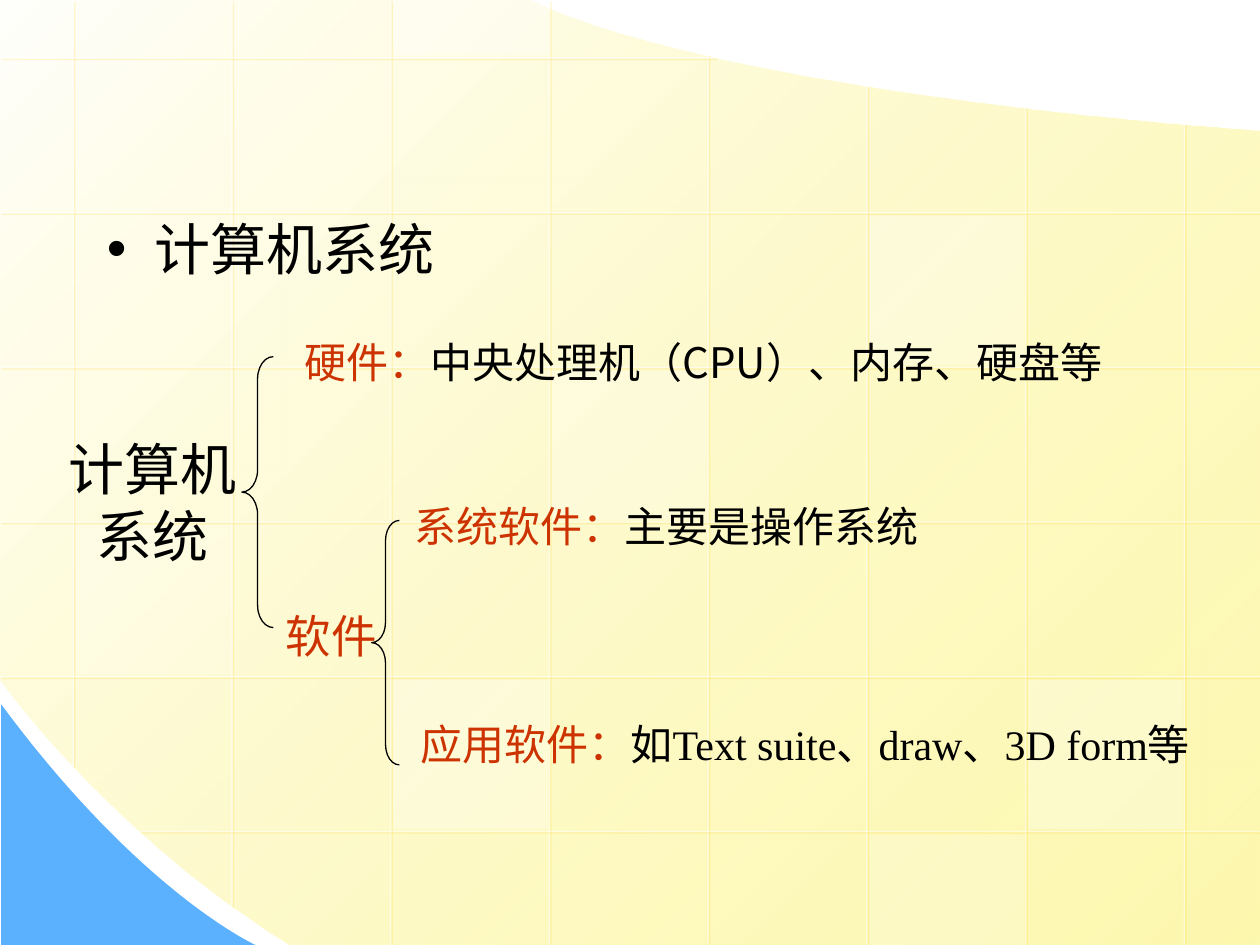
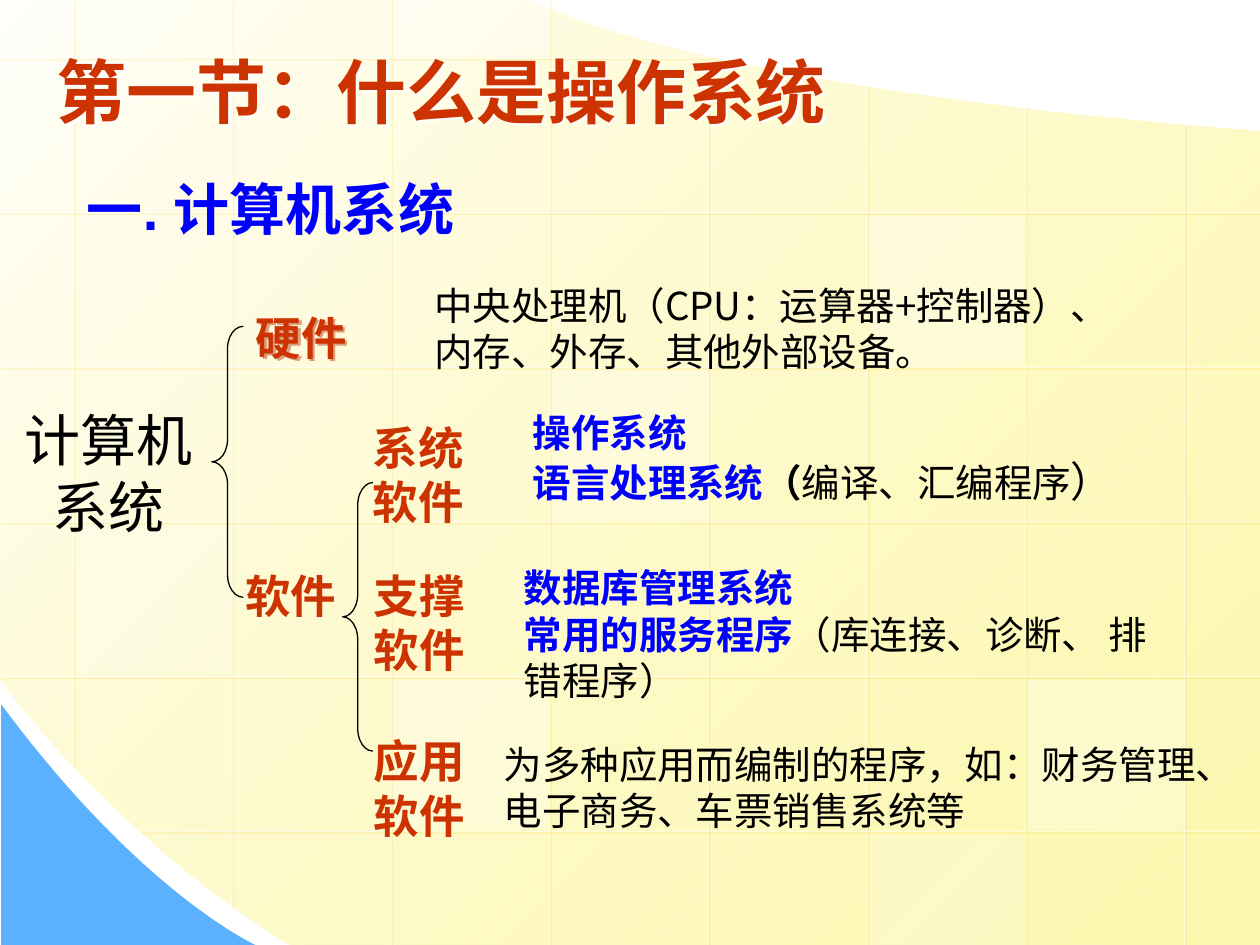
from dataclasses import dataclass
from typing import NamedTuple

from lxml import etree
from pptx import Presentation
from pptx.dml.color import RGBColor
from pptx.enum.shapes import MSO_CONNECTOR, MSO_SHAPE
from pptx.enum.text import MSO_ANCHOR, MSO_AUTO_SIZE, PP_ALIGN
from pptx.oxml.ns import qn
from pptx.util import Pt

STRAIGHT = MSO_CONNECTOR.STRAIGHT
RECTANGLE, LEFT_BRACE = MSO_SHAPE.RECTANGLE, MSO_SHAPE.LEFT_BRACE
TOP, MIDDLE = MSO_ANCHOR.TOP, MSO_ANCHOR.MIDDLE
LEFT, CENTER = PP_ALIGN.LEFT, PP_ALIGN.CENTER
NO_AUTOFIT = MSO_AUTO_SIZE.NONE

WIDTH, HEIGHT = 720, 540
TITLE_ONLY, BLANK = 5, 6
WHITE, BLACK, RED, BLUE = "FFFFFF", "000000", "CC3300", "0000FF"
SKY, CREAM, YELLOW, GOLD = "5CB1FE", "FFFFFB", "FDF58D", "FFCC00"
TAN = "D9A080"
SANS, SERIF, CJK = "Arial", "Times New Roman", "Noto Sans CJK SC"

GRID_LEFT, GRID_TOP, COLUMN_STEP, ROW_STEP = 41.8, 33.1, 90.7, 88.4
TILE_WIDTH, TILE_HEIGHT = 88.5, 85
COLUMN_SPANS = [(0, 438), (0, 518), (0, HEIGHT), (0, HEIGHT),
                (31, HEIGHT), (49, HEIGHT), (61, HEIGHT), (70.6, HEIGHT)]
ROW_SPANS = [(0, 409)] + [(0, WIDTH)] * 4 + [(80, WIDTH)]


class Box(NamedTuple):
    left: float
    top: float
    width: float
    height: float

    def lengths(self) -> list:
        return [Pt(value) for value in self]


class Run(NamedTuple):
    text: str
    size: float
    color: str = BLACK
    bold: bool = False
    latin: str = SANS


class Tile(NamedTuple):
    column: int
    row: int
    opacity: int


class Brace(NamedTuple):
    box: Box
    curl: float


@dataclass
class Label:
    box: Box
    lines: list
    anchor: MSO_ANCHOR = TOP
    wrap: bool = True
    align: PP_ALIGN = LEFT
    spacing: float = 1.0
    bullet: str = ""
    shadow: str = ""


TILES = [Tile(3, 2, 25), Tile(6, 4, 30), Tile(0, 3, 20), Tile(5, 5, 20),
         Tile(2, -1, 40), Tile(2, 4, 30), Tile(5, 1, 30)]


def rgb(color: str) -> RGBColor:
    return RGBColor.from_string(color)


def set_opacity(parent, percent: int) -> None:
    """Make the last plain colour under an XML element partly transparent."""
    color = list(parent.iter(qn("a:srgbClr")))[-1]
    etree.SubElement(color, qn("a:alpha")).set("val", str(percent * 1000))


def add_shadow(shape, color: str, distance: float, opacity: int) -> None:
    effects = etree.SubElement(shape.element.spPr, qn("a:effectLst"))
    shadow = etree.SubElement(effects, qn("a:outerShdw"), dist=str(Pt(distance)),
                              dir="2700000", algn="ctr", rotWithShape="0")
    etree.SubElement(shadow, qn("a:srgbClr"), val=color)
    set_opacity(shadow, opacity)


def curve(start: tuple, pull1: tuple, pull2: tuple, end: tuple, steps: int = 40) -> list:
    """Points along a cubic Bezier curve, without its start."""
    points = []
    for step in range(1, steps + 1):
        t = step / steps
        weights = ((1 - t) ** 3, 3 * t * (1 - t) ** 2, 3 * t * t * (1 - t), t ** 3)
        controls = (start, pull1, pull2, end)
        points.append(tuple(sum(w * c[axis] for w, c in zip(weights, controls))
                            for axis in (0, 1)))
    return points


def add_outline(slide, points: list):
    first, *rest = [(Pt(x), Pt(y)) for x, y in points]
    builder = slide.shapes.build_freeform(*first)
    builder.add_line_segments(rest, close=True)
    outline = builder.convert_to_shape()
    outline.shadow.inherit = False
    outline.line.fill.background()
    return outline


def add_grid_line(slide, x1: float, y1: float, x2: float, y2: float) -> None:
    line = slide.shapes.add_connector(STRAIGHT, Pt(x1), Pt(y1), Pt(x2), Pt(y2))
    line.line.color.rgb = rgb(WHITE)
    line.line.width = Pt(0.75)
    set_opacity(line.element.spPr, 50)
    add_shadow(line, GOLD, 1.4, 34)


def add_tile(slide, tile: Tile) -> None:
    left = GRID_LEFT + tile.column * COLUMN_STEP + 1.5
    top = GRID_TOP + tile.row * ROW_STEP + 2
    bottom = min(top + TILE_HEIGHT, HEIGHT)
    top = max(top, 0)
    box = Box(left, top, TILE_WIDTH, bottom - top)
    pane = slide.shapes.add_shape(RECTANGLE, *box.lengths())
    pane.shadow.inherit = False
    pane.line.fill.background()
    pane.fill.solid()
    pane.fill.fore_color.rgb = rgb(WHITE)
    set_opacity(pane.element.spPr, tile.opacity)


def draw_backdrop(slide) -> None:
    sheet = add_outline(slide, [
        (WIDTH, 75), (WIDTH, HEIGHT), (165.6, HEIGHT),
        *curve((165.6, HEIGHT), (62, 476), (0, 388), (0, 388)),
        (0, 0), (303, 0),
        *curve((303, 0), (303, 0), (387, 49.7), (WIDTH, 75))])
    sheet.fill.gradient()
    sheet.fill.gradient_angle = 315
    for stop, color, position in zip(sheet.fill.gradient_stops, (CREAM, YELLOW), (0, 1)):
        stop.color.rgb = rgb(color)
        stop.position = position
    set_opacity(sheet.element.spPr, 70)

    corner = add_outline(slide, [
        (0.7, 402.5), (0.7, HEIGHT), (146, HEIGHT),
        *curve((146, HEIGHT), (146, HEIGHT), (80.6, 510.5), (0.7, 402.5))])
    corner.fill.solid()
    corner.fill.fore_color.rgb = rgb(SKY)

    for column, (top, bottom) in enumerate(COLUMN_SPANS):
        x = GRID_LEFT + column * COLUMN_STEP
        add_grid_line(slide, x, top, x, bottom)
    for row, (left, right) in enumerate(ROW_SPANS):
        y = GRID_TOP + row * ROW_STEP
        add_grid_line(slide, left, y, right, y)
    for tile in TILES:
        add_tile(slide, tile)


def move_to_master(slide, master) -> None:
    """Turn everything drawn on the slide into the master's background."""
    for number, shape in enumerate(list(slide.shapes), start=100):
        next(shape.element.iter(qn("p:cNvPr"))).set("id", str(number))
        master.shapes.element.append(shape.element)


def add_run(paragraph, run: Run) -> None:
    part = paragraph.add_run()
    part.text = run.text
    font = part.font
    font.size, font.bold, font.name = Pt(run.size), run.bold, run.latin
    font.color.rgb = rgb(run.color)
    etree.SubElement(part.font._element, qn("a:ea"), typeface=CJK)


def set_bullet(paragraph, mark: str) -> None:
    properties = paragraph._p.get_or_add_pPr()
    properties.set("marL", str(Pt(27)))
    properties.set("indent", str(-Pt(27)))
    etree.SubElement(properties, qn("a:buFont"), typeface=SANS)
    etree.SubElement(properties, qn("a:buChar"), char=mark)


def fill_label(shape, label: Label) -> None:
    shape.left, shape.top, shape.width, shape.height = label.box.lengths()
    frame = shape.text_frame
    frame.auto_size = NO_AUTOFIT
    frame.word_wrap = label.wrap
    frame.vertical_anchor = label.anchor
    for index, runs in enumerate(label.lines):
        paragraph = frame.add_paragraph() if index else frame.paragraphs[0]
        if label.bullet:
            set_bullet(paragraph, label.bullet)
        paragraph.alignment = label.align
        paragraph.line_spacing = label.spacing
        for run in runs:
            add_run(paragraph, run)
    if label.shadow:
        add_shadow(shape, label.shadow, 2, 100)


def add_label(slide, label: Label) -> None:
    fill_label(slide.shapes.add_textbox(*label.box.lengths()), label)


def add_brace(slide, brace: Brace) -> None:
    shape = slide.shapes.add_shape(LEFT_BRACE, *brace.box.lengths())
    shape.shadow.inherit = False
    shape.fill.background()
    shape.line.color.rgb = rgb(BLACK)
    shape.line.width = Pt(0.75)
    shape.adjustments[0] = brace.curl


def root_label(box: Box) -> Label:
    lines = [[Run("计算机", 32)], [Run("系统", 32)]]
    return Label(box, lines, MIDDLE, wrap=False, align=CENTER)


def kind_label(box: Box, name: str) -> Label:
    return Label(box, [[Run(name, 26, RED, True, SERIF)]])


def explained(name: str, text: str, latin: str) -> list:
    return [[Run(name, 24, RED, latin=latin), Run(text, 24, latin=latin)]]


OVERVIEW = [
    root_label(Box(36.7, 256.3, 101.5, 60.5)),
    Brace(Box(138.2, 203.8, 18, 154.8), 0.705),
    Label(Box(167, 187.2, 521.3, 38.9),
          explained("硬件：", "中央处理机（CPU）、内存、硬盘等", CJK), MIDDLE, wrap=False),
    Label(Box(156.2, 343.4, 62, 38.9), [[Run("软件", 26, RED, latin=CJK)]],
          MIDDLE, wrap=False),
    Brace(Box(212.4, 297.4, 15.8, 139.7), 0.733),
    Label(Box(233.3, 406.8, 478, 36.7),
          explained("应用软件：", "如Text suite、draw、3D form等", SERIF)),
    Label(Box(229.7, 282.2, 368, 36.7),
          explained("系统软件：", "主要是操作系统", SERIF)),
    Label(Box(54, 100, 445, 33.8), [[Run("计算机系统", 32)]], spacing=1.5, bullet="•"),
]

SECTION_TITLE = Label(Box(25.2, 15.1, 648, 72.7),
                      [[Run("第一节：什么是操作系统", 40, RED, True)]],
                      MIDDLE, shadow=WHITE)

SECTION = [
    Label(Box(241.2, 157, 425.5, 61.2),
          [[Run("中央处理机（CPU：运算器+控制器）、", 22, latin=CJK)],
           [Run("内存、外存、其他外部设备。", 22, latin=CJK)]], MIDDLE, wrap=False),
    Label(Box(280.8, 419.8, 419.8, 60.5),
          [[Run("为多种应用而编制的程序，如：财务管理、电子商务、车票销售系统等", 22,
                latin=SERIF)]]),
    Label(Box(297.4, 230.4, 382.3, 64.8),
          [[Run("操作系统", 22, BLUE, True, SERIF)],
           [Run("语言处理系统", 22, BLUE, True), Run("（", 22, bold=True),
            Run("编译、汇编程序", 22), Run("）", 24)]]),
    Label(Box(42.5, 77, 445, 56.9), [[Run("一. 计算机系统", 32, BLUE, True)]], spacing=1.5),
    root_label(Box(2.9, 239.8, 118.8, 60.5)),
    Brace(Box(121, 186.5, 18, 154.8), 0.705),
    Label(Box(133.2, 321, 62, 38.9), [[Run("软件", 26, RED, True, CJK)]],
          MIDDLE, wrap=False),
    Label(Box(139, 173.5, 67.7, 38.2), [[Run("硬件", 26, RED, True)]], shadow=TAN),
    Brace(Box(195.8, 275.8, 17.3, 153.4), 0.749),
    kind_label(Box(206, 236.2, 91.4, 69.8), "系统软件"),
    kind_label(Box(206.6, 415.4, 73.4, 69.8), "应用软件"),
    kind_label(Box(206.6, 321, 73.4, 69.8), "支撑软件"),
    Label(Box(292.3, 319, 382.3, 87),
          [[Run("数据库管理系统", 22, BLUE, True)],
           [Run("常用的服务程序", 22, BLUE, True), Run("（库连接、诊断、 排错程序）", 22)]]),
]


def draw(slide, parts: list) -> None:
    for part in parts:
        if isinstance(part, Brace):
            add_brace(slide, part)
        else:
            add_label(slide, part)


def main() -> None:
    prs = Presentation()
    prs.slide_width, prs.slide_height = Pt(WIDTH), Pt(HEIGHT)

    overview = prs.slides.add_slide(prs.slide_layouts[BLANK])
    draw_backdrop(overview)
    move_to_master(overview, prs.slide_master)
    draw(overview, OVERVIEW)

    section = prs.slides.add_slide(prs.slide_layouts[TITLE_ONLY])
    fill_label(section.shapes.title, SECTION_TITLE)
    draw(section, SECTION)
    prs.save("out.pptx")


if __name__ == "__main__":
    main()
